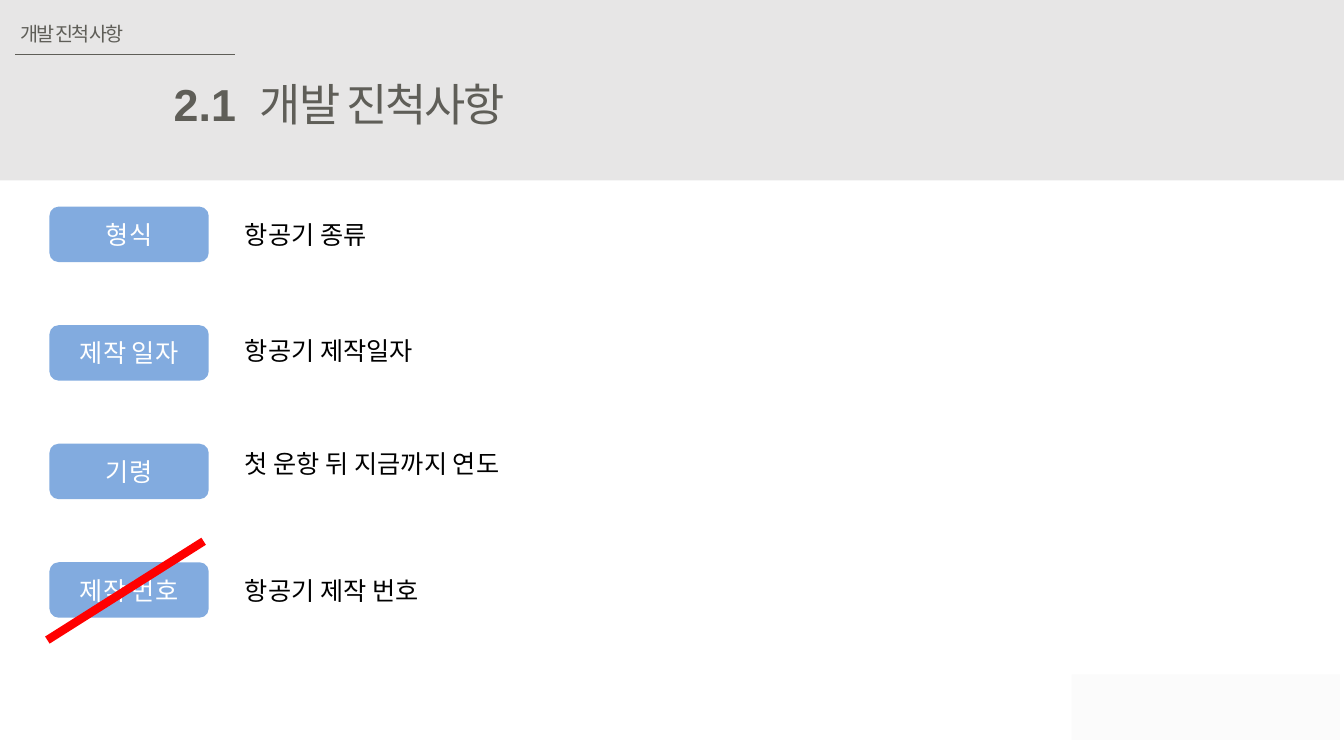
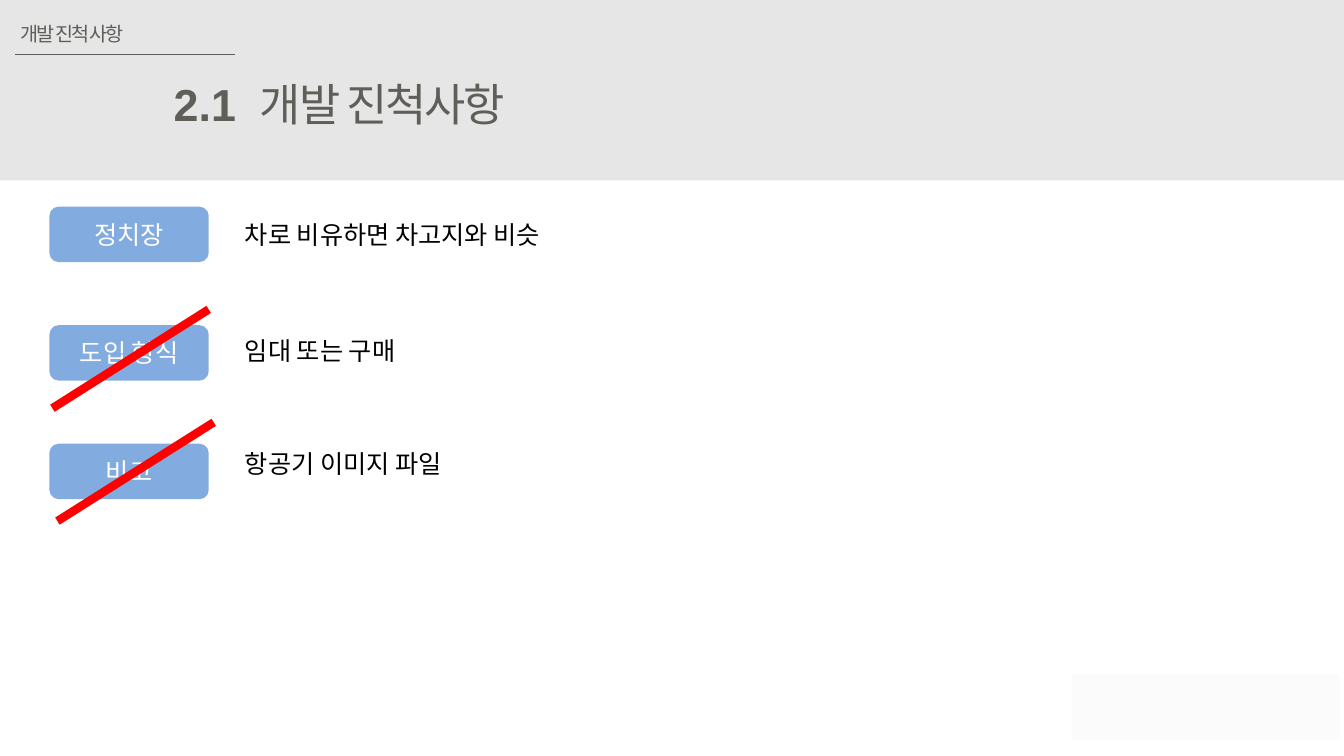
from lxml import etree
from pptx import Presentation
from pptx.dml.color import RGBColor
from pptx.enum.shapes import MSO_CONNECTOR, MSO_SHAPE
from pptx.enum.text import MSO_ANCHOR, MSO_AUTO_SIZE, PP_ALIGN
from pptx.oxml.ns import qn
from pptx.util import Inches, Pt

STRAIGHT = MSO_CONNECTOR.STRAIGHT
RECTANGLE, ROUNDED = MSO_SHAPE.RECTANGLE, MSO_SHAPE.ROUNDED_RECTANGLE
LEFT, CENTER, RIGHT = PP_ALIGN.LEFT, PP_ALIGN.CENTER, PP_ALIGN.RIGHT
MIDDLE = MSO_ANCHOR.MIDDLE
GROW = MSO_AUTO_SIZE.SHAPE_TO_FIT_TEXT

COLORS = {
    "band": "E7E6E6",
    "heading": "5F5E58",
    "label": "82ABDF",
    "label_text": "FFFFFF",
    "body": "000000",
    "corner": "FBFBFB",
    "strike": "FF0000",
}
LATIN_FONT, KOREAN_FONT = "Arial", "Noto Sans CJK KR"
TIGHT = -1.5

LABEL_TOP, LABEL_PITCH = 2.05, 1.176
DESCRIPTION_TOPS = (2.13, 3.28, 4.4, 5.66)
STRIKE_WIDTH, STRIKE_HEIGHT = 1.55, 0.98

# Each row: label, description, and the top right end of its strike (or None).
SLIDES = (
    (
        ("형식", "항공기 종류", None),
        ("제작 일자", "항공기 제작일자", None),
        ("기령", "첫 운항 뒤 지금까지 연도", None),
        ("제작 번호", "항공기 제작 번호", (2.02, 5.37)),
    ),
    (
        ("정치장", "차로 비유하면 차고지와 비슷", None),
        ("도입 형식", "임대 또는 구매", (2.07, 3.07)),
        ("비고", "항공기 이미지 파일", (2.12, 4.19)),
    ),
)


def color(name):
    return RGBColor.from_string(COLORS[name])


def write(frame, text, size, color_name, align=LEFT, font=LATIN_FONT, bold=False, spacing=0):
    """Fill a text frame with one styled line; spacing is in points."""
    frame.text = text
    paragraph = frame.paragraphs[0]
    paragraph.alignment = align
    run = paragraph.runs[0]
    run.font.size = Pt(size)
    run.font.bold = bold
    run.font.name = font
    run.font.color.rgb = color(color_name)
    properties = run.font._element
    east_asian = etree.Element(qn("a:ea"), typeface=KOREAN_FONT)
    properties.find(qn("a:latin")).addnext(east_asian)
    if spacing:
        properties.set("spc", str(round(spacing * 100)))


def add_text(slide, box, text, size, color_name, wrap=False, **style):
    frame = slide.shapes.add_textbox(*map(Inches, box)).text_frame
    frame.word_wrap = wrap
    frame.auto_size = GROW
    write(frame, text, size, color_name, **style)


def add_block(slide, preset, box, fill):
    block = slide.shapes.add_shape(preset, *map(Inches, box))
    block.shadow.inherit = False
    block.fill.solid()
    block.fill.fore_color.rgb = color(fill)
    block.line.fill.background()
    return block


def add_line(slide, start, end, color_name, width):
    line = slide.shapes.add_connector(STRAIGHT, *map(Inches, start + end))
    line.line.color.rgb = color(color_name)
    line.line.width = Pt(width)
    etree.SubElement(line._element.spPr, qn("a:effectLst"))


def add_frame(slide):
    """Draw the heading band and corner block shared by every slide."""
    add_block(slide, RECTANGLE, (0, 0, 13.33, 1.79), "band")
    add_line(slide, (0.15, 0.54), (2.33, 0.54), "heading", 0.5)
    add_text(slide, (0.11, 0.17, 1.32, 0.34), "개발 진척 사항", 14, "heading", spacing=TIGHT)
    add_text(slide, (1.62, 0.71, 0.82, 0.64), "2.1", 32, "heading", align=RIGHT, bold=True)
    add_text(slide, (2.48, 0.71, 2.98, 0.64), "개발 진척사항", 32, "heading",
             font=KOREAN_FONT, spacing=TIGHT)
    add_block(slide, RECTANGLE, (10.63, 6.69, 2.66, 0.65), "corner")


def add_row(slide, index, label, description, strike):
    label_box = (0.49, LABEL_TOP + index * LABEL_PITCH, 1.58, 0.55)
    frame = add_block(slide, ROUNDED, label_box, "label").text_frame
    frame.vertical_anchor = MIDDLE
    write(frame, label, 18, "label_text", align=CENTER)
    add_text(slide, (2.33, DESCRIPTION_TOPS[index], 7.45, 0.4), description, 18, "body", wrap=True)
    if strike:
        right, top = strike
        add_line(slide, strike, (right - STRIKE_WIDTH, top + STRIKE_HEIGHT), "strike", 6)


def main():
    deck = Presentation()
    deck.slide_width, deck.slide_height = Inches(13.33), Inches(7.5)
    blank = deck.slide_layouts[6]
    for rows in SLIDES:
        slide = deck.slides.add_slide(blank)
        add_frame(slide)
        for index, row in enumerate(rows):
            add_row(slide, index, *row)
    deck.save("out.pptx")


if __name__ == "__main__":
    main()
